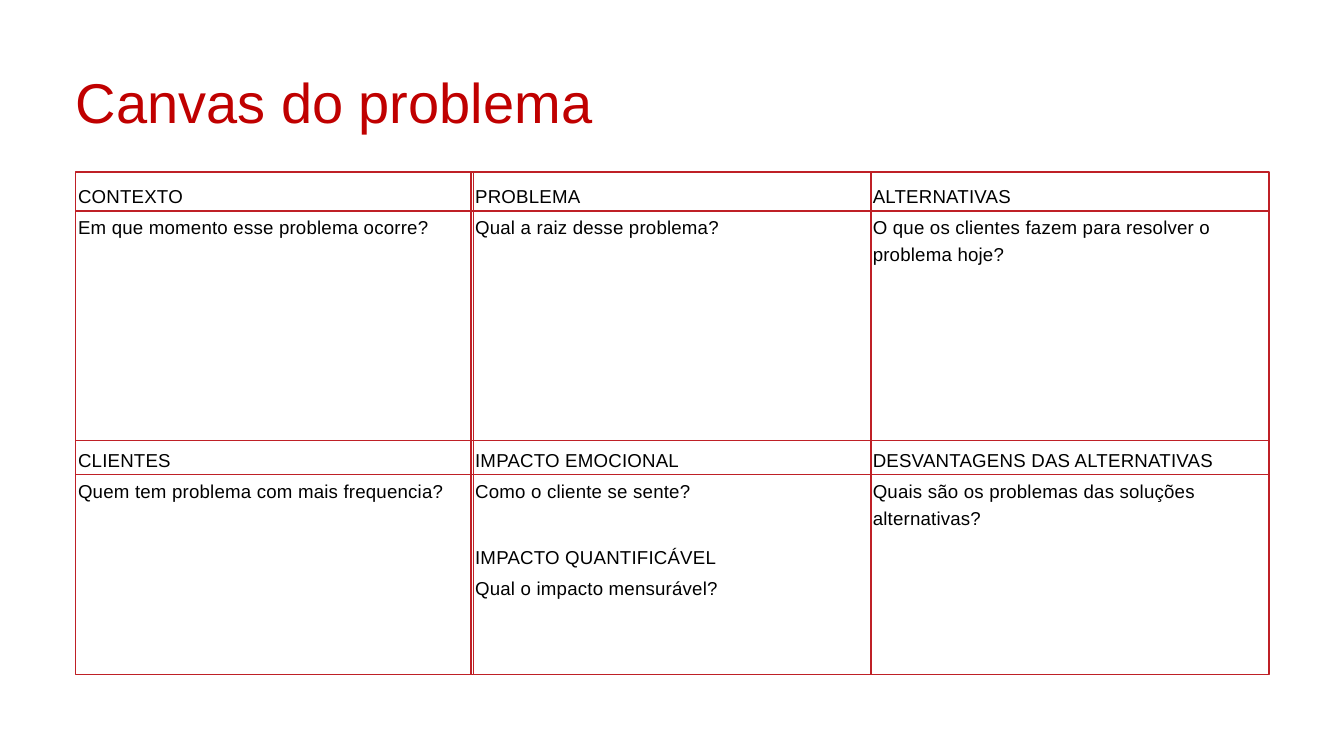
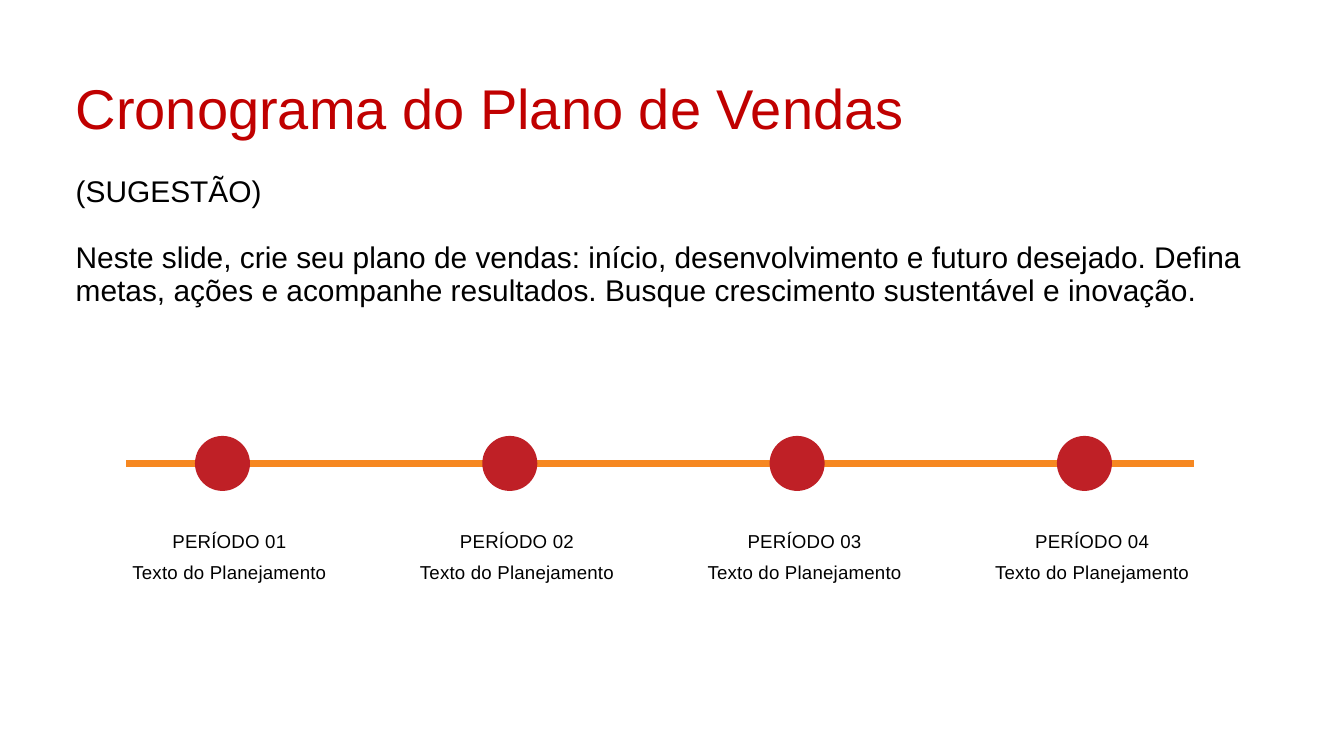
from dataclasses import dataclass

import pptx
import pptx.dml.color
import pptx.enum.shapes
import pptx.enum.text
import pptx.oxml.ns
import pptx.slide
import pptx.text.text
import pptx.util
from lxml import etree
from pptx.util import Cm

COLORS = {"title": "C00000", "text": "000000", "crimson": "BF2026", "orange": "F68821"}
FONT = "Arial"
MARGIN = 2.86
CONTENT_WIDTH = 45.08
QUESTION_DROP = 1.19  # from the top of a heading to the top of its question
LINE_HEIGHT = 0.97
LEFT = pptx.enum.text.PP_ALIGN.LEFT
CENTER = pptx.enum.text.PP_ALIGN.CENTER


@dataclass(frozen=True)
class TextStyle:
    size: float
    line_spacing: float
    color: str = "text"
    tracking: float = 0


@dataclass(frozen=True)
class Box:
    """A rectangle on the slide, in centimetres."""
    left: float
    top: float
    width: float
    height: float

    def lengths(self) -> tuple:
        return Cm(self.left), Cm(self.top), Cm(self.width), Cm(self.height)


@dataclass(frozen=True)
class CanvasBlock:
    column: int
    top: float
    heading: str
    question: str
    question_lines: int = 1


@dataclass(frozen=True)
class Period:
    label: str
    plan: str = "Texto do Planejamento"


TITLE = TextStyle(60, 72, "title")
INTRO = TextStyle(32, 35.3)
LABEL = TextStyle(20, 28.8, tracking=0.2)

CANVAS_TOP, CANVAS_HEIGHT = 6.51, 18.98
COLUMNS = [
    Box(MARGIN, CANVAS_TOP, 15.04, CANVAS_HEIGHT),
    Box(17.81, CANVAS_TOP, 15.11, CANVAS_HEIGHT),
    Box(32.92, CANVAS_TOP, 15.04, CANVAS_HEIGHT),
]
DIVIDERS = [7.98, 16.66, 17.93]
COLUMN_TEXT_LEFTS = [2.95, 17.96, 32.99]
UPPER, LOWER, LOWER_SECOND = 6.81, 16.79, 20.45
CANVAS_BLOCKS = [
    CanvasBlock(0, UPPER, "CONTEXTO", "Em que momento esse problema ocorre?"),
    CanvasBlock(1, UPPER, "PROBLEMA", "Qual a raiz desse problema?"),
    CanvasBlock(2, UPPER, "ALTERNATIVAS",
                "O que os clientes fazem para resolver o problema hoje?", 2),
    CanvasBlock(0, LOWER, "CLIENTES", "Quem tem problema com mais frequencia?"),
    CanvasBlock(1, LOWER, "IMPACTO EMOCIONAL", "Como o cliente se sente?"),
    CanvasBlock(1, LOWER_SECOND, "IMPACTO QUANTIFICÁVEL", "Qual o impacto mensurável?"),
    CanvasBlock(2, LOWER, "DESVANTAGENS DAS ALTERNATIVAS",
                "Quais são os problemas das soluções alternativas?", 2),
]

TIMELINE_LEFT, TIMELINE_RIGHT, TIMELINE_Y = 4.78, 45.14, 17.52
MARKER_SIZE = 2.08
FIRST_MARKER_CENTER, MARKER_STEP = 8.41, 10.86
FIRST_LABEL_CENTER, LABEL_STEP = 8.67, 10.87
PERIOD_TOP = 19.86
PERIODS = [Period(f"PERÍODO {number:02}") for number in range(1, 5)]


def rgb(name: str) -> pptx.dml.color.RGBColor:
    return pptx.dml.color.RGBColor.from_string(COLORS[name])


def style_text(frame: pptx.text.text.TextFrame, style: TextStyle, align=LEFT) -> None:
    frame.word_wrap = True
    frame.vertical_anchor = pptx.enum.text.MSO_ANCHOR.TOP
    frame.margin_left = frame.margin_top = frame.margin_right = frame.margin_bottom = 0
    for paragraph in frame.paragraphs:
        paragraph.alignment = align
        paragraph.line_spacing = pptx.util.Pt(style.line_spacing)
        paragraph.space_before = paragraph.space_after = pptx.util.Pt(0)
        for run in paragraph.runs:
            run.font.name = FONT
            run.font.size = pptx.util.Pt(style.size)
            run.font.color.rgb = rgb(style.color)
            if style.tracking:
                run.font._element.set("spc", str(round(style.tracking * 100)))


def fill_placeholder(placeholder, box: Box, text: str, style: TextStyle) -> None:
    placeholder.left, placeholder.top, placeholder.width, placeholder.height = box.lengths()
    placeholder.text_frame.text = text
    placeholder.text_frame.auto_size = pptx.enum.text.MSO_AUTO_SIZE.NONE
    style_text(placeholder.text_frame, style)


def add_titled_slide(deck, layout: int, title: str, top: float) -> pptx.slide.Slide:
    slide = deck.slides.add_slide(deck.slide_layouts[layout])
    fill_placeholder(slide.shapes.title, Box(MARGIN, top, CONTENT_WIDTH, 2.62), title, TITLE)
    return slide


def add_label(slide: pptx.slide.Slide, box: Box, text: str, align=LEFT) -> None:
    frame = slide.shapes.add_textbox(*box.lengths()).text_frame
    frame.text = text
    frame.auto_size = pptx.enum.text.MSO_AUTO_SIZE.SHAPE_TO_FIT_TEXT
    style_text(frame, LABEL, align)


def add_rule(slide: pptx.slide.Slide, left: float, right: float, y: float,
             color: str, weight: float) -> None:
    """Draw a horizontal line without a shadow."""
    rule = slide.shapes.add_connector(
        pptx.enum.shapes.MSO_CONNECTOR.STRAIGHT, Cm(left), Cm(y), Cm(right), Cm(y))
    rule.line.color.rgb = rgb(color)
    rule.line.width = pptx.util.Pt(weight)
    etree.SubElement(rule._element.spPr, pptx.oxml.ns.qn("a:effectLst"))


def add_column(slide: pptx.slide.Slide, box: Box) -> None:
    column = slide.shapes.add_shape(pptx.enum.shapes.MSO_SHAPE.RECTANGLE, *box.lengths())
    column.shadow.inherit = False
    column.fill.background()
    column.line.color.rgb = rgb("crimson")
    column.line.width = pptx.util.Pt(1.5)


def add_marker(slide: pptx.slide.Slide, center: float) -> None:
    box = Box(center - MARKER_SIZE / 2, TIMELINE_Y - MARKER_SIZE / 2, MARKER_SIZE, MARKER_SIZE)
    marker = slide.shapes.add_shape(pptx.enum.shapes.MSO_SHAPE.OVAL, *box.lengths())
    marker.shadow.inherit = False
    marker.fill.solid()
    marker.fill.fore_color.rgb = rgb("crimson")
    marker.line.fill.background()


def remove_bullets(frame: pptx.text.text.TextFrame) -> None:
    for paragraph in frame.paragraphs:
        properties = paragraph._p.get_or_add_pPr()
        properties.set("marL", "0")
        properties.set("indent", "0")
        etree.SubElement(properties, pptx.oxml.ns.qn("a:buNone"))


def build_problem_canvas(deck) -> None:
    slide = add_titled_slide(deck, 5, "Canvas do problema", 2.57)
    for column in COLUMNS:
        add_column(slide, column)
    for y in DIVIDERS:
        add_rule(slide, MARGIN, MARGIN + CONTENT_WIDTH, y, "crimson", 1.5)
    for block in CANVAS_BLOCKS:
        left, width = COLUMN_TEXT_LEFTS[block.column], COLUMNS[0].width
        add_label(slide, Box(left, block.top, width, LINE_HEIGHT), block.heading)
        add_label(slide, Box(left, block.top + QUESTION_DROP, width,
                             LINE_HEIGHT * block.question_lines), block.question)


def build_sales_timeline(deck) -> None:
    slide = add_titled_slide(deck, 1, "Cronograma do Plano de Vendas", 2.77)
    intro = slide.placeholders[1]
    fill_placeholder(
        intro, Box(MARGIN, 6.65, CONTENT_WIDTH, 6.32),
        "(SUGESTÃO)\n"
        "Neste slide, crie seu plano de vendas: início, desenvolvimento e futuro desejado. "
        "Defina metas, ações e acompanhe resultados. Busque crescimento sustentável e inovação.",
        INTRO)
    remove_bullets(intro.text_frame)
    intro.text_frame.paragraphs[0].space_after = pptx.util.Pt(INTRO.line_spacing)

    add_rule(slide, TIMELINE_LEFT, TIMELINE_RIGHT, TIMELINE_Y, "orange", 8.25)
    for index, period in enumerate(PERIODS):
        add_marker(slide, FIRST_MARKER_CENTER + index * MARKER_STEP)
        center = FIRST_LABEL_CENTER + index * LABEL_STEP
        for text, width, drop in ((period.label, 6.6, 0), (period.plan, 7.8, QUESTION_DROP)):
            add_label(slide, Box(center - width / 2, PERIOD_TOP + drop, width, LINE_HEIGHT),
                      text, CENTER)


def main() -> None:
    deck = pptx.Presentation()
    deck.slide_width, deck.slide_height = Cm(50.8), Cm(28.58)
    build_problem_canvas(deck)
    build_sales_timeline(deck)
    deck.save("out.pptx")


if __name__ == "__main__":
    main()
